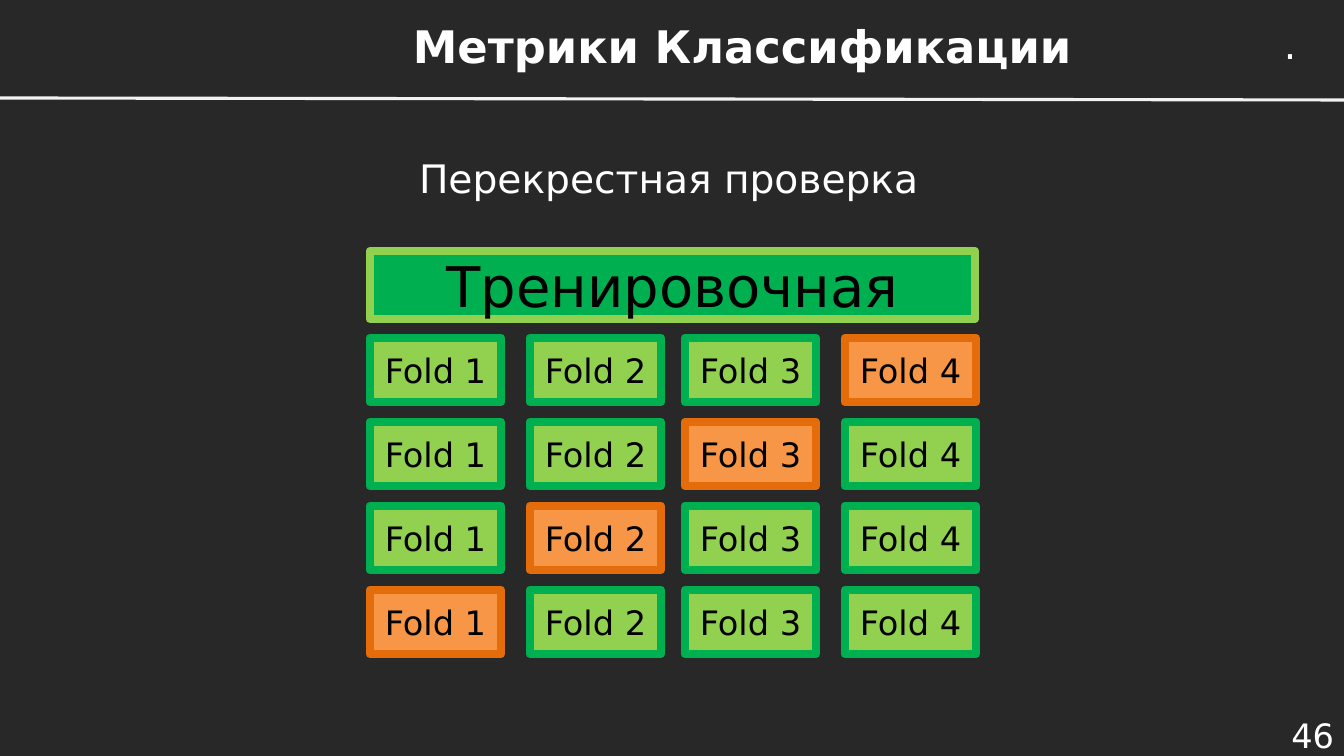
from lxml import etree
from pptx import Presentation
from pptx.dml.color import RGBColor
from pptx.enum.shapes import MSO_CONNECTOR, MSO_SHAPE
from pptx.enum.text import MSO_ANCHOR, MSO_AUTO_SIZE, PP_ALIGN
from pptx.oxml.ns import qn
from pptx.util import Emu, Pt

LEFT, CENTER, RIGHT = PP_ALIGN.LEFT, PP_ALIGN.CENTER, PP_ALIGN.RIGHT
TOP, MIDDLE = MSO_ANCHOR.TOP, MSO_ANCHOR.MIDDLE
FIXED, GROW = MSO_AUTO_SIZE.NONE, MSO_AUTO_SIZE.SHAPE_TO_FIT_TEXT
RECTANGLE, STRAIGHT = MSO_SHAPE.RECTANGLE, MSO_CONNECTOR.STRAIGHT

PX_PER_INCH = 100.8
PAGE_WIDTH, PAGE_HEIGHT = 1344, 756
TITLE_ONLY = 5
COLORS = {
    "background": "272827",
    "white": "FFFFFF",
    "black": "000000",
    "rule": "F2F2F2",
    "green": "00B050",
    "lime": "92D050",
    "orange": "F79646",
    "dark_orange": "E46C0A",
}

FOLD_LEFTS = (370, 530, 685, 845)
FOLD_TOP, FOLD_PITCH = 338, 84
FOLD_WIDTH, FOLD_HEIGHT = 131, 64


def px(length):
    return Emu(round(length * 914400 / PX_PER_INCH))


def color(name):
    return RGBColor.from_string(COLORS[name])


class SlideBuilder:
    """Holds the font and the current slide, and adds styled elements to it."""

    def __init__(self, page, font_name):
        self.page = page
        self.font_name = font_name
        fill = page.background.fill
        fill.solid()
        fill.fore_color.rgb = color("background")

    def set_text(self, shape, text, size, ink="white", align=CENTER,
                 anchor=MIDDLE, bold=False, wrap=True, fit=FIXED):
        frame = shape.text_frame
        frame.word_wrap = wrap
        frame.auto_size = fit
        frame.vertical_anchor = anchor
        paragraph = frame.paragraphs[0]
        paragraph.alignment = align
        span = paragraph.add_run()
        span.text = text
        span.font.name = self.font_name
        span.font.size = Pt(size)
        span.font.bold = bold
        span.font.color.rgb = color(ink)

    def title(self, text, left, top, width, height, **text_format):
        title = self.page.shapes.title
        title.left, title.top = px(left), px(top)
        title.width, title.height = px(width), px(height)
        self.set_text(title, text, **text_format)

    def text(self, text, left, top, width, height, **text_format):
        box = self.page.shapes.add_textbox(
            px(left), px(top), px(width), px(height))
        self.set_text(box, text, **text_format)

    def block(self, text, left, top, width, height, fill, border, size):
        block = self.page.shapes.add_shape(
            RECTANGLE, px(left), px(top), px(width), px(height))
        block.shadow.inherit = False
        block.fill.solid()
        block.fill.fore_color.rgb = color(fill)
        block.line.color.rgb = color(border)
        block.line.width = Pt(6)
        self.set_text(block, text, size=size, ink="black")

    def rule(self, start, end):
        rule = self.page.shapes.add_connector(
            STRAIGHT, *map(px, start), *map(px, end))
        rule.line.color.rgb = color("rule")
        rule.line.width = Pt(2.25)
        etree.SubElement(rule._element.spPr, qn("a:effectLst"))


def main():
    deck = Presentation()
    deck.slide_width, deck.slide_height = px(PAGE_WIDTH), px(PAGE_HEIGHT)
    page = deck.slides.add_slide(deck.slide_layouts[TITLE_ONLY])
    builder = SlideBuilder(page, "DejaVu Sans")

    builder.title("Метрики Классификации", 347, 19, 791, 53,
                  size=32, bold=True)
    builder.text("46", 1238, 714, 106, 42, size=24, align=RIGHT)
    builder.rule((0, 98), (PAGE_WIDTH, 100))
    builder.text(".", 1274, 15, 34, 57, size=28, align=LEFT, anchor=TOP,
                 wrap=False, fit=GROW)
    builder.text("Перекрестная проверка", 236, 132, 865, 92, size=28)
    builder.block("Тренировочная", 370, 251, 605, 68,
                  fill="green", border="lime", size=40)

    fold_count = len(FOLD_LEFTS)
    for row in range(fold_count):
        held_out = fold_count - 1 - row
        for column, left in enumerate(FOLD_LEFTS):
            if column == held_out:
                fill, border = "orange", "dark_orange"
            else:
                fill, border = "lime", "green"
            builder.block(f"Fold {column + 1}", left,
                          FOLD_TOP + row * FOLD_PITCH, FOLD_WIDTH, FOLD_HEIGHT,
                          fill=fill, border=border, size=24)

    deck.save("out.pptx")


if __name__ == "__main__":
    main()
